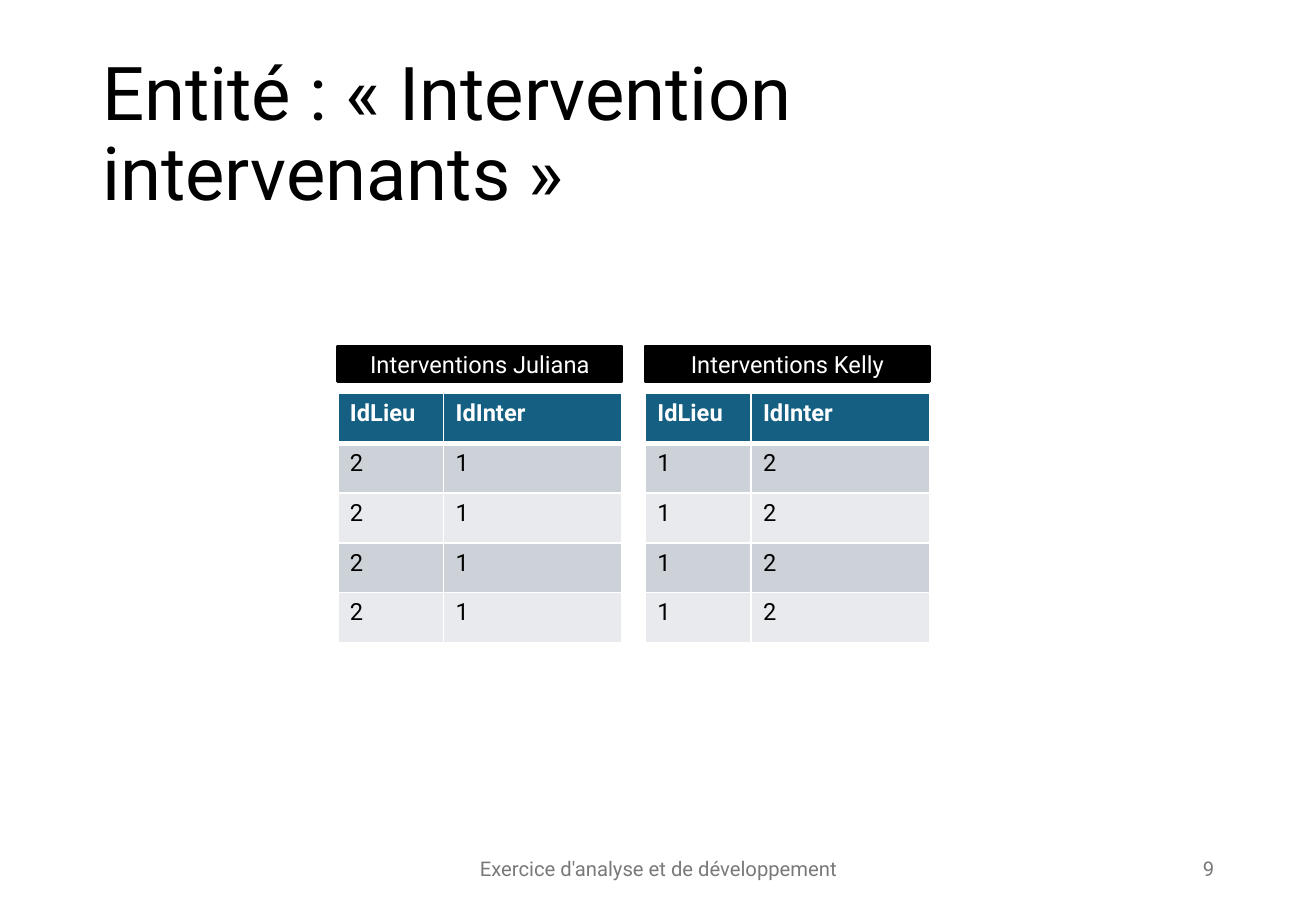
from dataclasses import dataclass

from lxml.etree import SubElement
from pptx import Presentation
from pptx.dml.color import RGBColor
from pptx.enum.shapes import MSO_SHAPE
from pptx.enum.text import MSO_ANCHOR, PP_ALIGN
from pptx.oxml.ns import qn
from pptx.util import Emu, Pt

FONT = "Roboto"
BLACK, WHITE, GREY = "000000", "FFFFFF", "797979"
HEADER_FILL = "156082"
BAND_FILLS = ("E8EAED", "CCD2D8")
HEADERS = ("IdLieu", "IdInter")
COL_WIDTHS = (87, 147)
ROW_HEIGHT = 41
ROW_COUNT = 5
LABEL_TOP, LABEL_HEIGHT, TABLE_TOP = 285, 29, 324
FOOTER_TOP, FOOTER_HEIGHT = 695, 40


@dataclass
class Interventions:
    label: str
    left: int
    row: tuple[str, str]


@dataclass
class FooterText:
    text: str
    left: int
    width: int
    align: PP_ALIGN


INTERVENTIONS = (
    Interventions("Interventions Juliana", 278, ("2", "1")),
    Interventions("Interventions Kelly", 531, ("1", "2")),
)
FOOTER = (
    FooterText("Exercice d'analyse et de développement", 359, 366, PP_ALIGN.CENTER),
    FooterText("9", 765, 244, PP_ALIGN.RIGHT),
)


def px(n: int) -> Emu:
    return Emu(n * 9144)


def rgb(color: str) -> RGBColor:
    return RGBColor.from_string(color)


def set_text(tf, text: str, size: int, color: str, align=None, bold: bool = False) -> None:
    tf.text = text
    p = tf.paragraphs[0]
    p.alignment = align
    p.font.name = FONT
    p.font.size = Pt(size)
    p.font.bold = bold
    p.font.color.rgb = rgb(color)


def set_borders(cell, widths: dict[str, int]) -> None:
    tc_pr = cell._tc.get_or_add_tcPr()
    for side, width in widths.items():
        ln = SubElement(tc_pr, qn(f"a:ln{side}"), w=str(Pt(width)))
        SubElement(SubElement(ln, qn("a:solidFill")), qn("a:srgbClr"), val=WHITE)


def add_title(s, text: str) -> None:
    sp = s.shapes.title
    sp.left, sp.top, sp.width, sp.height = px(74), px(40), px(934), px(145)
    tf = sp.text_frame
    tf.vertical_anchor = MSO_ANCHOR.MIDDLE
    set_text(tf, text, 44, BLACK, PP_ALIGN.LEFT)
    tf.paragraphs[0].line_spacing = 0.9


def add_table(s, item: Interventions) -> None:
    frame = s.shapes.add_table(
        ROW_COUNT, len(HEADERS), px(item.left), px(TABLE_TOP),
        px(sum(COL_WIDTHS)), px(ROW_HEIGHT * ROW_COUNT),
    )
    table = frame.table
    for col, width in zip(table.columns, COL_WIDTHS):
        col.width = px(width)
    for i, row in enumerate(table.rows):
        row.height = px(ROW_HEIGHT)
        header = i == 0
        borders = {"L": 1, "R": 1, "T": 3 if i == 1 else 1, "B": 3 if header else 1}
        for cell, text in zip(row.cells, HEADERS if header else item.row):
            set_borders(cell, borders)
            cell.fill.solid()
            cell.fill.fore_color.rgb = rgb(HEADER_FILL if header else BAND_FILLS[i % 2])
            set_text(cell.text_frame, text, 14, WHITE if header else BLACK, bold=header)


def add_label(s, item: Interventions) -> None:
    sp = s.shapes.add_shape(
        MSO_SHAPE.RECTANGLE, px(item.left), px(LABEL_TOP),
        px(sum(COL_WIDTHS)), px(LABEL_HEIGHT),
    )
    sp.shadow.inherit = False
    sp.fill.solid()
    sp.fill.fore_color.rgb = rgb(BLACK)
    sp.line.color.rgb = rgb(BLACK)
    sp.line.width = Pt(1.5)
    sp.text_frame.vertical_anchor = MSO_ANCHOR.MIDDLE
    set_text(sp.text_frame, item.label, 14, WHITE, PP_ALIGN.CENTER)


def add_footer(s, item: FooterText) -> None:
    sp = s.shapes.add_textbox(
        px(item.left), px(FOOTER_TOP), px(item.width), px(FOOTER_HEIGHT)
    )
    tf = sp.text_frame
    tf.word_wrap = True
    tf.vertical_anchor = MSO_ANCHOR.MIDDLE
    set_text(tf, item.text, 12, GREY, item.align)


def main() -> None:
    prs = Presentation()
    prs.slide_width, prs.slide_height = px(1083), px(750)
    s = prs.slides.add_slide(prs.slide_layouts[5])
    add_title(s, "Entité : « Intervention intervenants »")
    for item in INTERVENTIONS:
        add_table(s, item)
    for item in INTERVENTIONS:
        add_label(s, item)
    for item in FOOTER:
        add_footer(s, item)
    prs.save("out.pptx")


if __name__ == "__main__":
    main()
